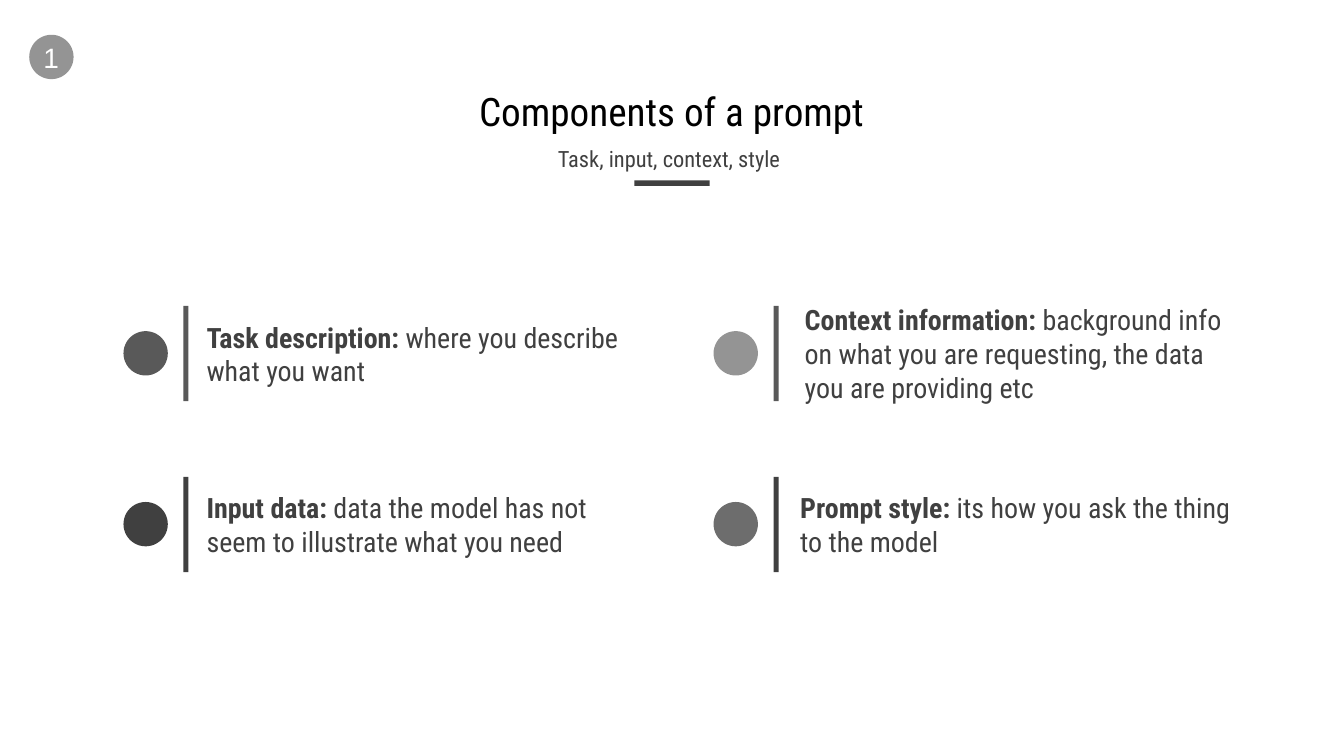
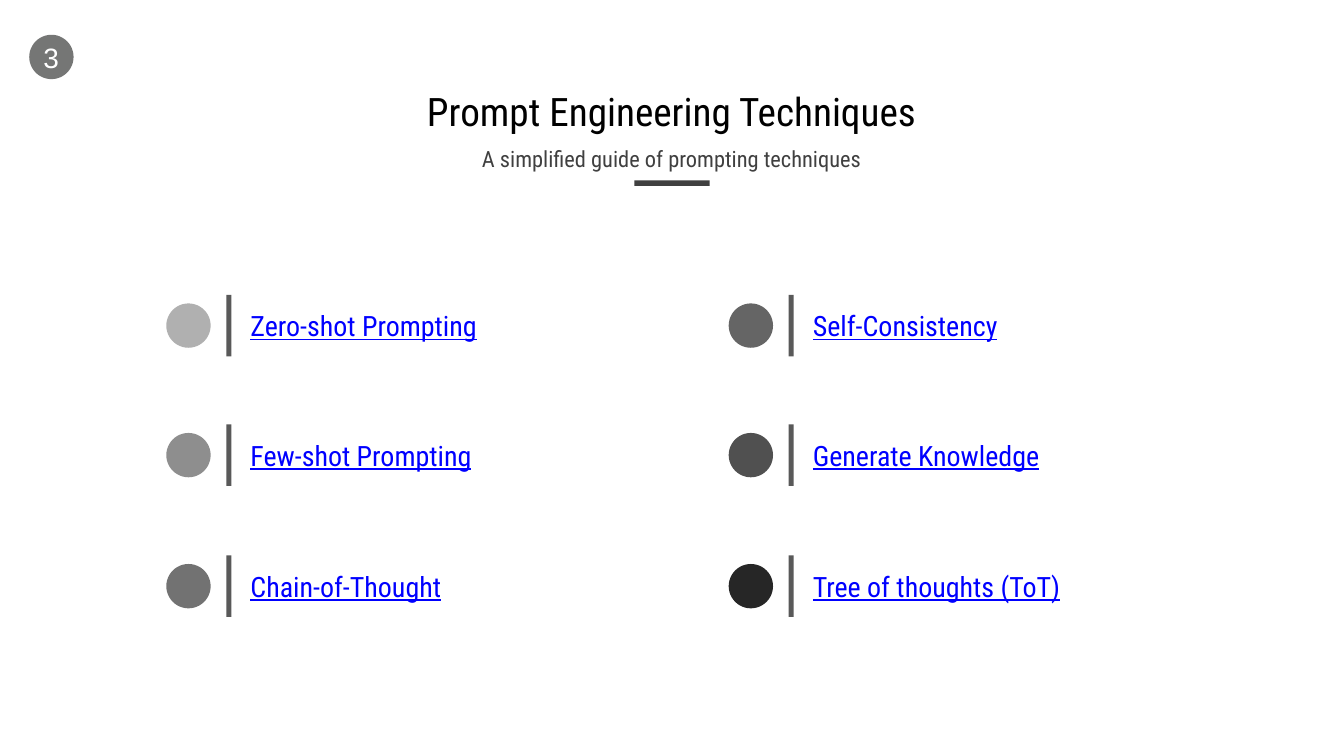
from dataclasses import dataclass

from pptx import Presentation
from pptx.dml.color import RGBColor
from pptx.enum.shapes import MSO_SHAPE
from pptx.enum.text import MSO_ANCHOR, MSO_AUTO_SIZE, PP_ALIGN
from pptx.slide import Slide
from pptx.util import Emu, Pt

EMU_PER_PX = 9144  # 100 px to the inch
SLIDE_WIDTH, SLIDE_HEIGHT = 2667, 1500
FONT = "Roboto Condensed"
BLACK, WHITE = "000000", "FFFFFF"
DARK, MEDIUM = "404040", "595959"
LINK_BLUE = "0000FF"

DOT = 88
BAR_WIDTH = 10
BAR_OFFSET = 119
COMPONENT_BAR_HEIGHT = 189
COMPONENT_TEXT_WIDTH = 891
TECHNIQUE_BAR_HEIGHT = 122
TECHNIQUE_TEXT_OFFSET = 161
LINE_HEIGHT = 78
TECHNIQUE_COLUMNS = (330, 1446)
TECHNIQUE_ROWS = (646, 903, 1163)


@dataclass(frozen=True)
class Run:
    text: str
    color: str = DARK
    size: int = 40
    font: str = FONT
    bold: bool = False
    underline: bool = False


@dataclass(frozen=True)
class Component:
    """A prompt component; left is its dot's edge, middle its vertical centre."""
    label: str
    description: str
    left: int
    middle: int
    text_left: int
    text_height: int
    dot_color: str
    bar_color: str


@dataclass(frozen=True)
class Technique:
    name: str
    text_width: int
    dot_color: str


COMPONENTS = (
    Component("Task description:", " where you describe what you want",
              245, 701, 400, 153, MEDIUM, MEDIUM),
    Component("Input data:", " data the model has not seem to illustrate what you need",
              245, 1040, 400, 153, DARK, DARK),
    Component("Context information: ",
              "background info on what you are requesting, the data you are providing etc",
              1416, 701, 1587, 220, "949494", MEDIUM),
    Component("Prompt style: ", "its how you ask the thing to the model",
              1416, 1040, 1578, 153, "6D6D6D", DARK),
)

# Listed column by column
TECHNIQUES = (
    Technique("Zero-shot Prompting", 519, "B0B0B0"),
    Technique("Few-shot Prompting", 510, "8E8E8E"),
    Technique("Chain-of-Thought", 445, "727272"),
    Technique("Self-Consistency", 429, "656565"),
    Technique("Generate Knowledge", 534, "505050"),
    Technique("Tree of thoughts (ToT)", 560, "262626"),
)


def px(length: int) -> Emu:
    return Emu(length * EMU_PER_PX)


def rgb(color: str) -> RGBColor:
    return RGBColor.from_string(color)


def add_block(slide: Slide, kind: MSO_SHAPE, left: int, top: int,
              width: int, height: int, color: str) -> None:
    """Draw a plain filled shape without outline or shadow."""
    shape = slide.shapes.add_shape(kind, px(left), px(top), px(width), px(height))
    shape.shadow.inherit = False
    shape.fill.solid()
    shape.fill.fore_color.rgb = rgb(color)
    shape.line.fill.background()


def add_text(slide: Slide, left: int, top: int, width: int, height: int, *runs: Run,
             align: PP_ALIGN = PP_ALIGN.LEFT, anchor: MSO_ANCHOR = MSO_ANCHOR.MIDDLE,
             inset: int = 10, wrap: bool = True, grow: bool = True,
             line_spacing: float = 1.0) -> None:
    box = slide.shapes.add_textbox(px(left), px(top), px(width), px(height))
    frame = box.text_frame
    frame.word_wrap = wrap
    frame.auto_size = MSO_AUTO_SIZE.SHAPE_TO_FIT_TEXT if grow else MSO_AUTO_SIZE.NONE
    frame.vertical_anchor = anchor
    frame.margin_left = frame.margin_right = px(inset)
    frame.margin_top = frame.margin_bottom = px(inset)
    paragraph = frame.paragraphs[0]
    paragraph.alignment = align
    paragraph.line_spacing = line_spacing
    for item in runs:
        run = paragraph.add_run()
        run.text = item.text
        run.font.name = item.font
        run.font.size = Pt(item.size)
        run.font.bold = item.bold
        run.font.underline = item.underline
        run.font.color.rgb = rgb(item.color)


def add_heading(slide: Slide, title: str, subtitle: str,
                number: str, badge_color: str) -> None:
    """Draw the numbered badge, title, subtitle and rule shared by the slides."""
    add_block(slide, MSO_SHAPE.RECTANGLE, 1259, 358, 149, 11, DARK)
    add_text(slide, 183, 158, 2300, 134, Run(title, BLACK, 56),
             align=PP_ALIGN.CENTER, grow=False, line_spacing=0.9)
    add_text(slide, 193, 281, 2280, 75, Run(subtitle, size=32),
             align=PP_ALIGN.CENTER, grow=False, line_spacing=0.9)
    add_block(slide, MSO_SHAPE.OVAL, 58, 69, DOT, DOT, badge_color)
    add_text(slide, 80, 74, 43, LINE_HEIGHT, Run(number, WHITE, font="Arial"),
             align=PP_ALIGN.CENTER, inset=6, wrap=False)


def add_marker(slide: Slide, left: int, middle: int, bar_height: int,
               dot_color: str, bar_color: str) -> None:
    """Draw a dot and the vertical bar beside it, centred on one height."""
    add_block(slide, MSO_SHAPE.OVAL, left, middle - DOT // 2, DOT, DOT, dot_color)
    add_block(slide, MSO_SHAPE.RECTANGLE, left + BAR_OFFSET, middle - bar_height // 2,
              BAR_WIDTH, bar_height, bar_color)


def add_component(slide: Slide, component: Component) -> None:
    add_marker(slide, component.left, component.middle, COMPONENT_BAR_HEIGHT,
               component.dot_color, component.bar_color)
    add_text(slide, component.text_left, component.middle - component.text_height // 2,
             COMPONENT_TEXT_WIDTH, component.text_height,
             Run(component.label, bold=True), Run(component.description),
             anchor=MSO_ANCHOR.TOP)


def add_technique(slide: Slide, technique: Technique, left: int, middle: int) -> None:
    add_marker(slide, left, middle, TECHNIQUE_BAR_HEIGHT, technique.dot_color, MEDIUM)
    add_text(slide, left + TECHNIQUE_TEXT_OFFSET, middle - LINE_HEIGHT // 2,
             technique.text_width, LINE_HEIGHT,
             Run(technique.name, LINK_BLUE, underline=True), inset=6, wrap=False)


def main() -> None:
    presentation = Presentation()
    presentation.slide_width = px(SLIDE_WIDTH)
    presentation.slide_height = px(SLIDE_HEIGHT)
    blank = presentation.slide_layouts[6]

    components_slide = presentation.slides.add_slide(blank)
    add_heading(components_slide, "Components of a prompt",
                "Task, input, context, style ", "1", "949494")
    for component in COMPONENTS:
        add_component(components_slide, component)

    techniques_slide = presentation.slides.add_slide(blank)
    add_heading(techniques_slide, "Prompt Engineering Techniques",
                "A simplified guide of prompting techniques", "3", "757675")
    for index, technique in enumerate(TECHNIQUES):
        column, row = divmod(index, len(TECHNIQUE_ROWS))
        add_technique(techniques_slide, technique,
                      TECHNIQUE_COLUMNS[column], TECHNIQUE_ROWS[row])

    presentation.save("out.pptx")


if __name__ == "__main__":
    main()
